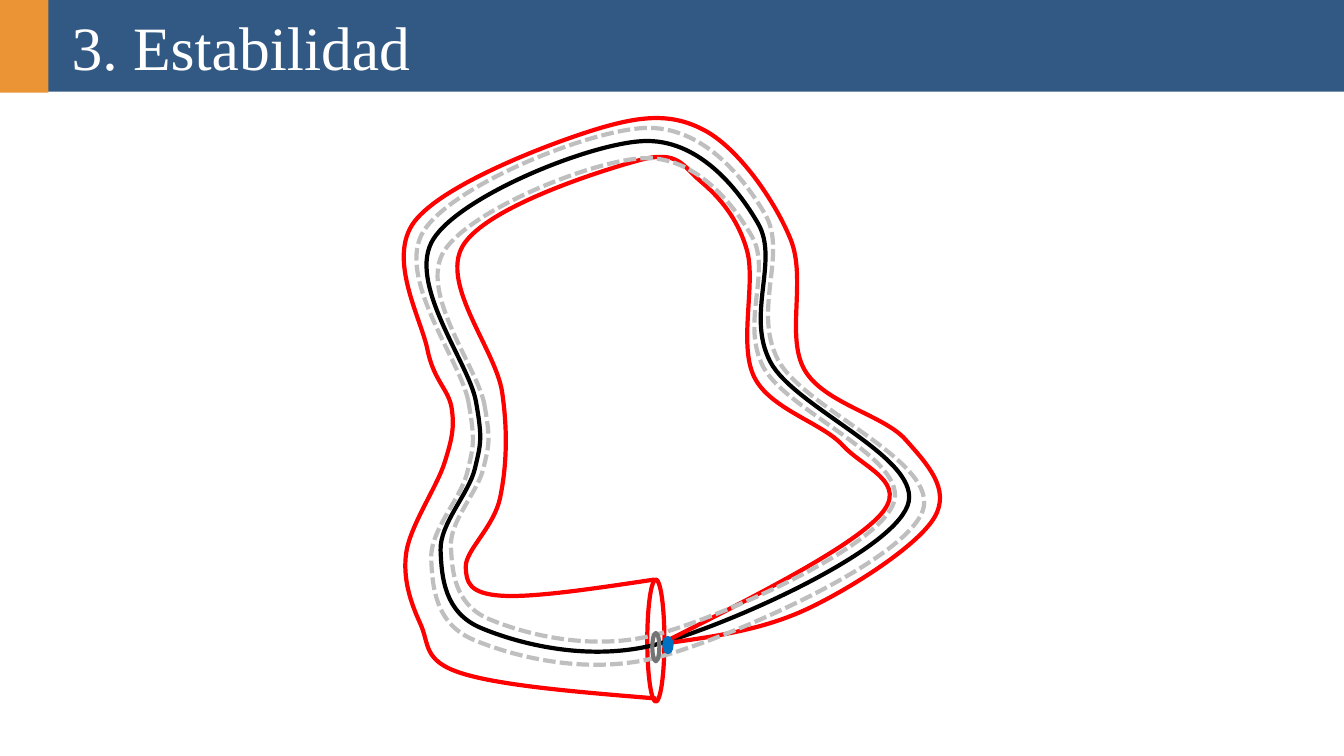
from typing import NamedTuple

from lxml.etree import SubElement
from pptx import Presentation
from pptx.dml.color import RGBColor
from pptx.enum.dml import MSO_LINE
from pptx.enum.shapes import MSO_SHAPE
from pptx.enum.text import MSO_ANCHOR, PP_ALIGN
from pptx.oxml.ns import qn
from pptx.util import Pt

PX = 9144  # 100 px to the inch

RED = RGBColor(0xFF, 0x00, 0x00)
BLACK = RGBColor(0x00, 0x00, 0x00)
SILVER = RGBColor(0xBF, 0xBF, 0xBF)
GRAY = RGBColor(0x74, 0x74, 0x74)
BLUE = RGBColor(0x00, 0x70, 0xC0)
NAVY = RGBColor(0x32, 0x59, 0x84)
ORANGE = RGBColor(0xEB, 0x94, 0x35)
WHITE = RGBColor(0xFF, 0xFF, 0xFF)

Point = tuple[float, float]


class Box(NamedTuple):
    left: int
    top: int
    width: int
    height: int


class Curve(NamedTuple):
    knots: list[Point]
    box: Box
    closed: bool
    color: RGBColor
    dash: MSO_LINE | None = None


class Oval(NamedTuple):
    box: Box
    line: RGBColor
    weight: float = 3
    fill: RGBColor | None = None


def paint(shape, fill: RGBColor | None, line: RGBColor | None, weight: float = 3) -> None:
    shape.shadow.inherit = False
    if fill is None:
        shape.fill.background()
    else:
        shape.fill.solid()
        shape.fill.fore_color.rgb = fill
    if line is None:
        shape.line.fill.background()
    else:
        shape.line.color.rgb = line
        shape.line.width = Pt(weight)


def add_preset(shapes, kind: MSO_SHAPE, box: Box):
    return shapes.add_shape(kind, *(n * PX for n in box))


def draw_oval(shapes, oval: Oval) -> None:
    paint(add_preset(shapes, MSO_SHAPE.OVAL, oval.box), oval.fill, oval.line, oval.weight)


def refit(knots: list[Point], old: Box, new: Box) -> list[Point]:
    """Stretch the knots from one bounding box to another."""
    kx, ky = new.width / old.width, new.height / old.height
    return [(new.left + (x - old.left) * kx, new.top + (y - old.top) * ky) for x, y in knots]


def handles(knots: list[Point], i: int, closed: bool) -> list[Point]:
    """Bezier points from knot i to the next; tangents follow the neighbours."""
    count = len(knots)
    a, b = knots[i], knots[(i + 1) % count]
    prev, after = knots[i - 1], knots[(i + 2) % count]
    out = tuple(p + (q - r) / 6 for p, q, r in zip(a, b, prev))
    into = tuple(q - (s - p) / 6 for p, q, s in zip(a, b, after))
    if not closed and i == 0:
        out = tuple((p + q) / 2 for p, q in zip(a, into))
    if not closed and i == count - 2:
        into = tuple((p + q) / 2 for p, q in zip(out, b))
    return [out, into, b]


def bend(shape, curve: Curve) -> None:
    """Turn the straight outline into cubic curves inside the curve's box."""
    box = Box(*(n * PX for n in curve.box))
    for name, value in box._asdict().items():
        setattr(shape, name, value)
    outline = next(shape.element.iter(qn("a:path")))
    for child in list(outline):
        outline.remove(child)
    outline.set("w", str(box.width))
    outline.set("h", str(box.height))

    def add(tag: str, points: list[Point]) -> None:
        node = SubElement(outline, qn(tag))
        for x, y in points:
            spot = SubElement(node, qn("a:pt"))
            spot.set("x", str(round(x * PX) - box.left))
            spot.set("y", str(round(y * PX) - box.top))

    add("a:moveTo", curve.knots[:1])
    for i in range(len(curve.knots) - (not curve.closed)):
        add("a:cubicBezTo", handles(curve.knots, i, curve.closed))
    if curve.closed:
        add("a:close", [])


def draw_curve(shapes, curve: Curve) -> None:
    first, *rest = curve.knots
    pen = shapes.build_freeform(*first, scale=PX)
    pen.add_line_segments(rest, close=curve.closed)
    shape = pen.convert_to_shape()
    bend(shape, curve)
    paint(shape, None, curve.color)
    if curve.dash is not None:
        shape.line.dash_style = curve.dash


def draw_title(shapes) -> None:
    group = shapes.add_group_shape()
    bar = add_preset(group.shapes, MSO_SHAPE.RECTANGLE, Box(0, 0, 1334, 91))
    paint(bar, NAVY, None)
    frame = bar.text_frame
    looks = {"margin_left": 71 * PX, "vertical_anchor": MSO_ANCHOR.MIDDLE, "word_wrap": True}
    for name, value in looks.items():
        setattr(frame, name, value)
    para = frame.paragraphs[0]
    para.alignment = PP_ALIGN.LEFT
    run = para.add_run()
    run.text = "3. Estabilidad"
    for name, value in {"name": "Times New Roman", "size": Pt(44)}.items():
        setattr(run.font, name, value)
    run.font.color.rgb = WHITE
    paint(add_preset(group.shapes, MSO_SHAPE.RECTANGLE, Box(0, 0, 48, 92)), ORANGE, None)


ORBIT = [(472, 398), (471, 465), (437, 546), (477, 623), (656, 638), (900, 502),
         (764, 359), (752, 222), (638, 140), (430, 237)]
INNER = [(661, 636), (873, 511), (836, 442), (748, 374), (741, 249), (695, 180), (634, 159),
         (459, 244), (498, 389), (496, 494), (462, 562), (497, 591), (649, 575)]
OUTER = [(662, 638), (801, 604), (927, 513), (898, 436), (798, 367), (784, 237), (700, 130),
         (589, 129), (411, 220), (424, 347), (448, 405), (441, 459), (403, 548), (417, 619),
         (458, 668), (651, 693)]
ORBIT_BOX = Box(423, 140, 479, 507)
TUBE = [Box(434, 157, 454, 480), Box(413, 127, 504, 533)]

CURVES = [
    Curve(ORBIT, ORBIT_BOX, True, BLACK),
    Curve(INNER, Box(453, 155, 429, 480), False, RED),
    Curve(OUTER, Box(401, 117, 531, 576), False, RED),
]
CURVES += [
    Curve(refit(ORBIT, ORBIT_BOX, box), box, True, SILVER, MSO_LINE.SQUARE_DOT) for box in TUBE
]

SECTION = Oval(Box(642, 575, 17, 121), RED)
MARKS = [Oval(Box(647, 628, 7, 28), GRAY), Oval(Box(658, 632, 9, 16), BLUE, 1.5, BLUE)]


def main() -> None:
    deck = Presentation()
    deck.slide_width, deck.slide_height = 1333 * PX, 750 * PX
    shapes = deck.slides.add_slide(deck.slide_layouts[6]).shapes
    draw_oval(shapes, SECTION)
    for curve in CURVES:
        draw_curve(shapes, curve)
    for mark in MARKS:
        draw_oval(shapes, mark)
    draw_title(shapes)
    deck.save("out.pptx")


if __name__ == "__main__":
    main()
